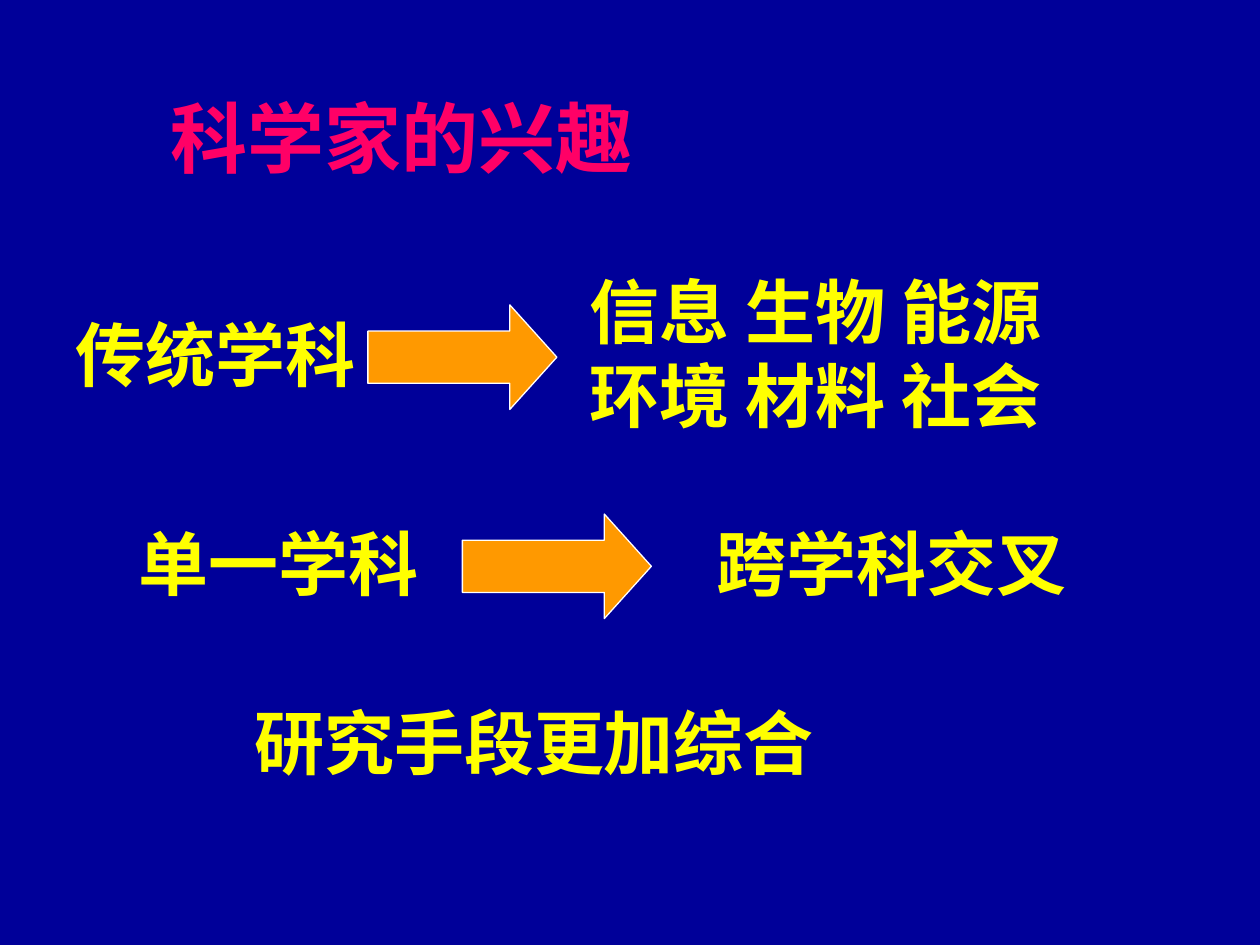
"""Build the slide on how the interests of scientists are shifting."""
from dataclasses import dataclass

from lxml import etree
from pptx import Presentation
from pptx.dml.color import RGBColor
from pptx.enum.shapes import MSO_SHAPE
from pptx.enum.text import MSO_ANCHOR, MSO_AUTO_SIZE, PP_ALIGN
from pptx.oxml.ns import qn
from pptx.util import Inches, Pt

RIGHT_ARROW = MSO_SHAPE.RIGHT_ARROW
TOP = MSO_ANCHOR.TOP
NO_AUTOFIT = MSO_AUTO_SIZE.NONE
LEFT = PP_ALIGN.LEFT

NAVY = RGBColor(0x00, 0x00, 0x99)
PINK = RGBColor(0xFF, 0x00, 0x66)
YELLOW = RGBColor(0xFF, 0xFF, 0x00)
ORANGE = RGBColor(0xFF, 0x99, 0x00)
WHITE = RGBColor(0xFF, 0xFF, 0xFF)

FONT = "Noto Sans CJK SC"
CELLS_PER_INCH = 12
LINE_FACTOR = 1.2
SIDE_MARGIN = Inches(0.1)
END_MARGIN = Inches(0.05)
FRAME_FORMAT = {
    "auto_size": NO_AUTOFIT,
    "vertical_anchor": TOP,
    "margin_left": SIDE_MARGIN,
    "margin_right": SIDE_MARGIN,
    "margin_top": END_MARGIN,
    "margin_bottom": END_MARGIN,
}
PARA_FORMAT = {
    "alignment": LEFT,
    "line_spacing": 1.0,
    "space_before": 0,
    "space_after": 0,
}


@dataclass(frozen=True)
class Label:
    """Text placed by column and row; without a width it fits its characters."""
    column: float
    row: float
    lines: tuple[str, ...]
    columns: int = 0
    size: int = 40
    color: RGBColor = YELLOW


@dataclass(frozen=True)
class Arrow:
    """Arrow placed by column and row."""
    column: int
    row: int


TITLE = Label(15, 8, ("科学家的兴趣",), 56, 44, PINK)
FIELDS = Label(55, 25, ("信息 生物 能源", "环境 材料 社会"), 59)
LABELS = (
    Label(6, 29, ("传统学科",)),
    Label(12, 49, ("单一学科",)),
    Label(67.1, 49, ("跨学科交叉",)),
    Label(23, 66, ("研究手段更加综合",)),
)
ARROWS = (Arrow(35, 29), Arrow(44, 49))


def cells(count: float) -> int:
    """Return the length of a number of grid cells."""
    return Inches(round(count / CELLS_PER_INCH, 2))


def apply(target, values: dict) -> None:
    """Set every value as an attribute of the target."""
    for name, value in values.items():
        setattr(target, name, value)


def write(box, label: Label) -> None:
    """Place a box and fill it with formatted lines."""
    fitted = len(label.lines[0]) * Pt(label.size) + 2 * SIDE_MARGIN
    line_height = Pt(label.size * LINE_FACTOR)
    apply(box, {
        "left": cells(label.column),
        "top": cells(label.row),
        "width": cells(label.columns) or fitted,
        "height": len(label.lines) * line_height + 2 * END_MARGIN,
    })
    frame = box.text_frame
    frame.text = "\n".join(label.lines)
    apply(frame, FRAME_FORMAT | {"word_wrap": label.columns > 0})
    for para in frame.paragraphs:
        apply(para, PARA_FORMAT)
        properties = para._p.get_or_add_pPr()
        properties.set("marL", "0")
        properties.set("indent", "0")
        etree.SubElement(properties, qn("a:buNone"))
        for span in para.runs:
            apply(span.font, {"name": FONT, "size": Pt(label.size), "bold": True})
            span.font.color.rgb = label.color
            etree.SubElement(span._r.get_or_add_rPr(), qn("a:ea"), typeface=FONT)


def draw_arrow(page, arrow: Arrow) -> None:
    """Draw one block arrow."""
    shape = page.shapes.add_shape(
        RIGHT_ARROW, cells(arrow.column), cells(arrow.row), cells(18), cells(10))
    shape.adjustments[0] = 0.5
    shape.adjustments[1] = 0.45
    shape.shadow.inherit = False
    shape.fill.solid()
    shape.fill.fore_color.rgb = ORANGE
    shape.line.color.rgb = WHITE
    shape.line.width = Pt(0.74)


def main() -> None:
    """Build and save the deck."""
    deck = Presentation()
    apply(deck, {"slide_width": Inches(10), "slide_height": Inches(7.5)})
    page = deck.slides.add_slide(deck.slide_layouts[1])
    page.background.fill.solid()
    page.background.fill.fore_color.rgb = NAVY
    write(page.shapes.title, TITLE)
    write(page.placeholders[1], FIELDS)
    for arrow in ARROWS:
        draw_arrow(page, arrow)
    for label in LABELS:
        write(page.shapes.add_textbox(0, 0, 0, 0), label)
    deck.save("out.pptx")


main()
